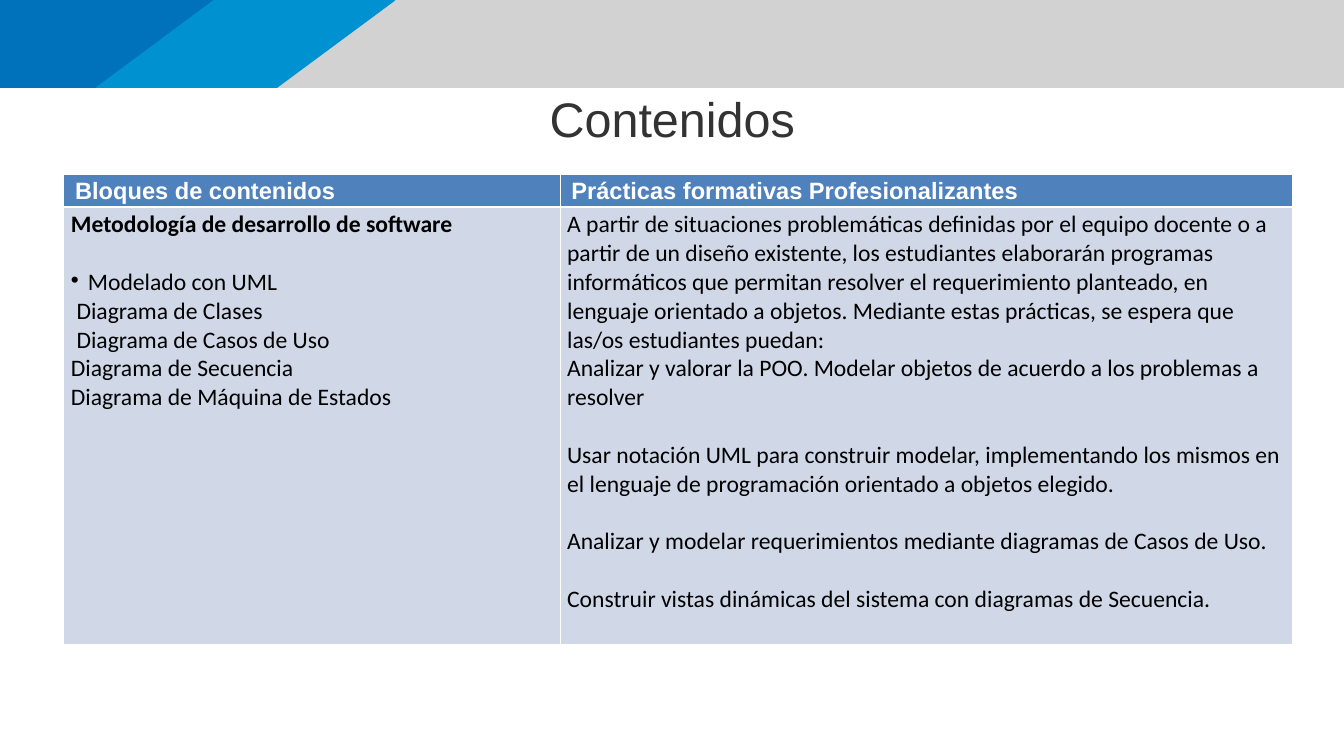
from lxml import etree
from pptx import Presentation
from pptx.dml.color import RGBColor
from pptx.enum.text import MSO_AUTO_SIZE, PP_ALIGN
from pptx.oxml.ns import qn
from pptx.util import Inches, Pt

CENTER = PP_ALIGN.CENTER
GROW = MSO_AUTO_SIZE.SHAPE_TO_FIT_TEXT

WHITE = RGBColor(0xFF, 0xFF, 0xFF)
BLACK = RGBColor(0x00, 0x00, 0x00)
CHARCOAL = RGBColor(0x33, 0x33, 0x33)
BAND_GRAY = RGBColor(0xD2, 0xD2, 0xD3)
BAND_LIGHT_BLUE = RGBColor(0x00, 0x91, 0xD1)
BAND_DARK_BLUE = RGBColor(0x00, 0x71, 0xBB)
HEADER_BLUE = RGBColor(0x4F, 0x81, 0xBD)
BODY_BLUE = RGBColor(0xD0, 0xD8, 0xE8)

TITLE_FONT = {"name": "Arial", "size": Pt(49.3), "bold": False}
HEADER_FONT = {"name": "Arial", "size": Pt(24), "bold": True}
BODY_FONT = {"name": "Calibri", "size": Pt(24), "bold": False}
STRONG_FONT = {**BODY_FONT, "bold": True}

HEADER_MARGINS = {"margin_left": Inches(0.16), "margin_right": Inches(0.07),
                  "margin_top": 0, "margin_bottom": 0}
BODY_MARGINS = {"margin_left": Inches(0.1), "margin_right": Inches(0.1),
                "margin_top": Inches(0.05), "margin_bottom": Inches(0.05)}
NO_MARGINS = dict.fromkeys(HEADER_MARGINS, 0)

GAP = {"space_before": Pt(29.3)}
LEADING = {"line_spacing": 1.15}
INDENT = Inches(0.08)
BULLET_INDENT = Inches(0.24)

BANDS = [
    ([(0, 0), (18.96, 0), (18.96, 1.24), (0, 1.24)], BAND_GRAY),
    ([(0, 0), (5.58, 0), (3.9, 1.24), (0, 1.24)], BAND_LIGHT_BLUE),
    ([(0, 0.01), (5.57, 0.01), (3.91, 1.24), (0, 1.24)], BAND_LIGHT_BLUE),
    ([(0, 0), (3.01, 0), (1.34, 1.24), (0, 1.24)], BAND_DARK_BLUE),
]

COLUMN_WIDTHS = [7, 10.33]
ROW_HEIGHTS = [0.46, 6.17]
HEADERS = ["Bloques de contenidos", "Prácticas formativas Profesionalizantes"]
BLOCKS = [
    ("Metodología de desarrollo de software", STRONG_FONT, {}, 0, None),
    ("Modelado con UML", BODY_FONT, GAP, BULLET_INDENT, "•"),
    ("Diagrama de Clases", BODY_FONT, {}, INDENT, None),
    ("Diagrama de Casos de Uso", BODY_FONT, {}, INDENT, None),
    ("Diagrama de Secuencia", BODY_FONT, {}, 0, None),
    ("Diagrama de Máquina de Estados", BODY_FONT, {}, 0, None),
]
PRACTICES = [
    ("A partir de situaciones problemáticas definidas por el equipo docente o a "
     "partir de un diseño existente, los estudiantes elaborarán programas "
     "informáticos que permitan resolver el requerimiento planteado, en "
     "lenguaje orientado a objetos. Mediante estas prácticas, se espera que "
     "las/os estudiantes puedan:", BODY_FONT, {}, 0, None),
    ("Analizar y valorar la POO. Modelar objetos de acuerdo a los problemas a "
     "resolver", BODY_FONT, {}, 0, None),
    ("Usar notación UML para construir modelar, implementando los mismos en "
     "el lenguaje de programación orientado a objetos elegido.",
     BODY_FONT, GAP, 0, None),
    ("Analizar y modelar requerimientos mediante diagramas de Casos de Uso.",
     BODY_FONT, GAP, 0, None),
    ("Construir vistas dinámicas del sistema con diagramas de Secuencia.",
     BODY_FONT, GAP, 0, None),
]


def apply(target, values):
    """Set each named attribute on the target."""
    for name, value in values.items():
        setattr(target, name, value)


def add_span(para, text, font, color):
    """Add formatted text to a paragraph."""
    span = para.add_run()
    span.text = text
    apply(span.font, font)
    span.font.color.rgb = color


def indent_paragraph(para, indent, bullet):
    """Indent a paragraph, hanging its bullet if it has one."""
    properties = para._p.get_or_add_pPr()
    properties.set("marL", str(int(indent)))
    properties.set("indent", str(-int(indent) if bullet else 0))
    if bullet:
        etree.SubElement(properties, qn("a:buChar"), char=bullet)


def add_band(page, points, color):
    """Draw one outline of the top banner."""
    corners = [(Inches(x), Inches(y)) for x, y in points]
    builder = page.shapes.build_freeform(*corners[0])
    builder.add_line_segments(corners[1:], close=True)
    band = builder.convert_to_shape()
    band.shadow.inherit = False
    band.fill.solid()
    band.fill.fore_color.rgb = color
    band.line.fill.background()


def add_title(page, text):
    """Add the centred slide title."""
    box = page.shapes.add_textbox(Inches(6.07), Inches(1.25), Inches(6.83), Inches(0.83))
    apply(box.text_frame, {**NO_MARGINS, "word_wrap": True, "auto_size": GROW})
    para = box.text_frame.paragraphs[0]
    para.alignment = CENTER
    add_span(para, text, TITLE_FONT, CHARCOAL)


def add_borders(cell, bottom_width):
    """Give a cell white borders with the bottom width in points."""
    properties = cell._tc.get_or_add_tcPr()
    for side, width in {"L": 1, "R": 1, "T": 1, "B": bottom_width}.items():
        line = etree.SubElement(properties, qn(f"a:ln{side}"), w=str(int(Pt(width))))
        fill = etree.SubElement(line, qn("a:solidFill"))
        etree.SubElement(fill, qn("a:srgbClr"), val=str(WHITE))


def fill_cell(cell, items, margins, text_color, fill_color, bottom_width):
    """Format a cell and write its paragraphs."""
    add_borders(cell, bottom_width)
    apply(cell, margins)
    cell.fill.solid()
    cell.fill.fore_color.rgb = fill_color
    frame = cell.text_frame
    for index, (text, font, spacing, indent, bullet) in enumerate(items):
        para = frame.add_paragraph() if index else frame.paragraphs[0]
        indent_paragraph(para, indent, bullet)
        apply(para, spacing)
        add_span(para, text, font, text_color)


def add_contents_table(page):
    """Add the table of content blocks and practices."""
    table = page.shapes.add_table(
        len(ROW_HEIGHTS), len(COLUMN_WIDTHS), Inches(0.9), Inches(2.46),
        Inches(sum(COLUMN_WIDTHS)), Inches(sum(ROW_HEIGHTS))).table
    apply(table, {"first_row": False, "horz_banding": False})
    for column, width in zip(table.columns, COLUMN_WIDTHS):
        column.width = Inches(width)
    for row, height in zip(table.rows, ROW_HEIGHTS):
        row.height = Inches(height)
    for index, (header, items) in enumerate(zip(HEADERS, [BLOCKS, PRACTICES])):
        heading = [(header, HEADER_FONT, LEADING, 0, None)]
        fill_cell(table.cell(0, index), heading, HEADER_MARGINS, WHITE, HEADER_BLUE, 3)
        fill_cell(table.cell(1, index), items, BODY_MARGINS, BLACK, BODY_BLUE, 1)


def main():
    """Build and save the slide."""
    deck = Presentation()
    apply(deck, {"slide_width": Inches(18.96), "slide_height": Inches(10.67)})
    page = deck.slides.add_slide(deck.slide_layouts[6])
    for points, color in BANDS:
        add_band(page, points, color)
    add_title(page, "Contenidos")
    add_contents_table(page)
    deck.save("out.pptx")


if __name__ == "__main__":
    main()
